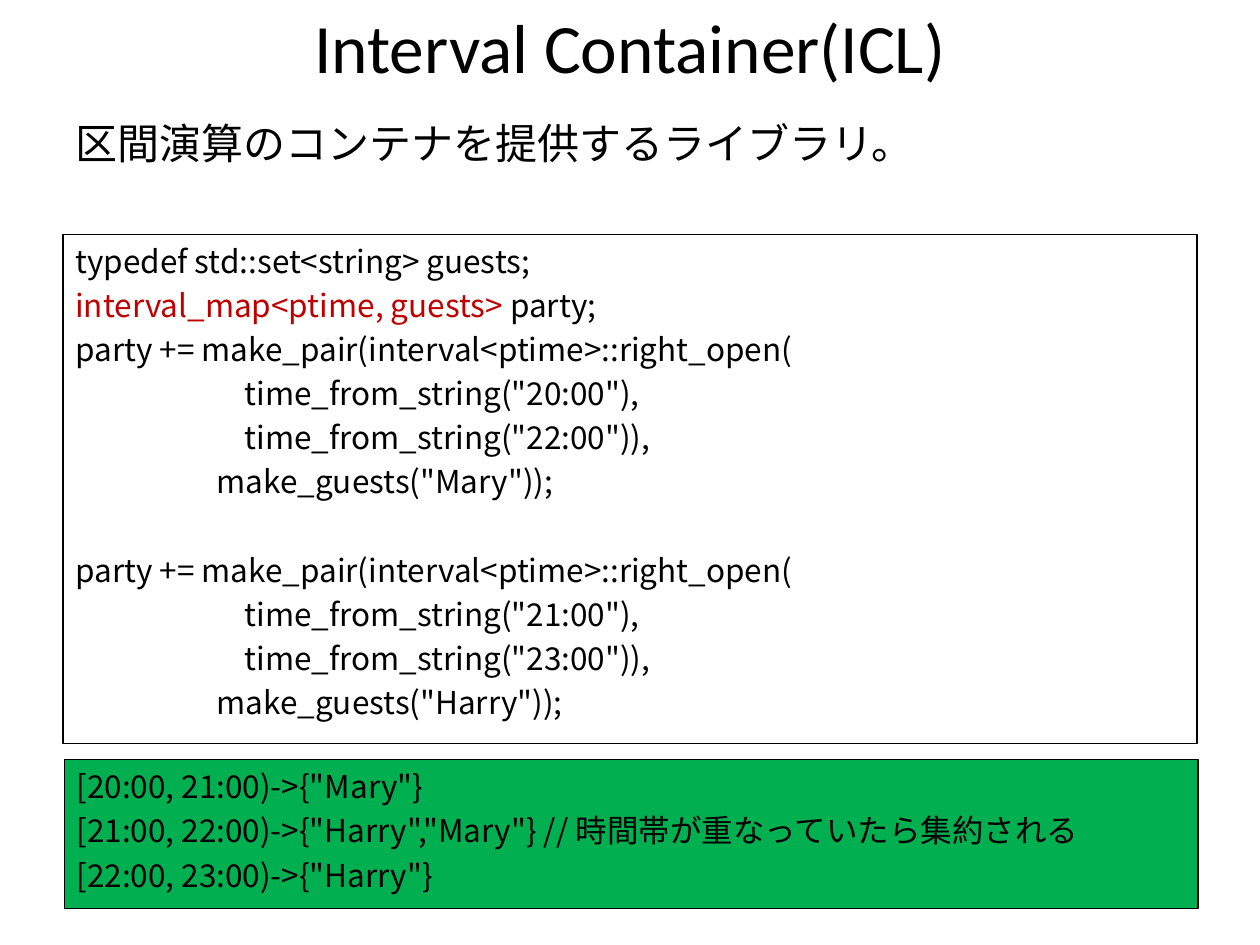
"""Build a slide that introduces the Interval Container library."""
from dataclasses import dataclass
from typing import Optional

from lxml import etree
from pptx import Presentation
from pptx.dml.color import RGBColor
from pptx.enum.shapes import MSO_SHAPE
from pptx.enum.text import MSO_ANCHOR, PP_ALIGN
from pptx.oxml.ns import qn
from pptx.util import Inches, Pt

BLACK = RGBColor(0x00, 0x00, 0x00)
RED = RGBColor(0xC0, 0x00, 0x00)
GREEN = RGBColor(0x00, 0xB0, 0x50)
RECTANGLE = MSO_SHAPE.RECTANGLE
LEFT, CENTER = PP_ALIGN.LEFT, PP_ALIGN.CENTER
TOP, MIDDLE = MSO_ANCHOR.TOP, MSO_ANCHOR.MIDDLE
TITLE_FONT, BODY_FONT = "Calibri", "Noto Sans CJK JP"
CODE_PITCH = 25.2


@dataclass(frozen=True)
class Line:
    text: str
    highlight: str = ""
    gap_before: float = 0


@dataclass(frozen=True)
class Panel:
    left: float
    top: float
    height: float
    lines: list[Line]
    fill: Optional[RGBColor] = None


def party_call(start: str, end: str, guest: str, gap_before: float = 0) -> list[Line]:
    time_indent, guest_indent = " " * 24, " " * 20
    return [
        Line("party += make_pair(interval<ptime>::right_open(", gap_before=gap_before),
        Line(f'{time_indent}time_from_string("{start}"),'),
        Line(f'{time_indent}time_from_string("{end}")),'),
        Line(f'{guest_indent}make_guests("{guest}"));'),
    ]


PANELS = [
    Panel(0.5, 1.86, 4.04, [
        Line("typedef std::set<string> guests;"),
        Line("party;", highlight="interval_map<ptime, guests> "),
        *party_call("20:00", "22:00", "Mary"),
        *party_call("21:00", "23:00", "Harry", gap_before=CODE_PITCH),
    ]),
    Panel(0.51, 6.03, 1.18, [
        Line('[20:00, 21:00)->{"Mary"}'),
        Line('[21:00, 22:00)->{"Harry","Mary"} // 時間帯が重なっていたら集約される'),
        Line('[22:00, 23:00)->{"Harry"}'),
    ], fill=GREEN),
]


def write_text(shape, lines: list[Line], *, size: float, font: str = BODY_FONT,
               align=LEFT, anchor=TOP, inset: float = 0.01,
               pitch: Optional[float] = None) -> None:
    frame = shape.text_frame
    frame.word_wrap = True
    frame.vertical_anchor = anchor
    frame.margin_top = Inches(inset)
    for index, line in enumerate(lines):
        paragraph = frame.add_paragraph() if index else frame.paragraphs[0]
        paragraph.alignment = align
        paragraph.space_before = Pt(line.gap_before)
        if pitch:
            paragraph.line_spacing = Pt(pitch)
        for text, color in ((line.highlight, RED), (line.text, BLACK)):
            if text:
                run = paragraph.add_run()
                run.text = text
                run.font.size = Pt(size)
                run.font.name = font
                run.font.color.rgb = color
                etree.SubElement(run.font._element, qn("a:ea"), typeface=font)


def draw_panel(slide, panel: Panel) -> None:
    box = slide.shapes.add_shape(RECTANGLE, Inches(panel.left), Inches(panel.top),
                                 Inches(9), Inches(panel.height))
    box.shadow.inherit = False
    if panel.fill is None:
        box.fill.background()
    else:
        box.fill.solid()
        box.fill.fore_color.rgb = panel.fill
    box.line.color.rgb = BLACK
    box.line.width = Pt(0.75)
    write_text(box, panel.lines, size=18, pitch=CODE_PITCH)


def main() -> None:
    deck = Presentation()
    deck.slide_width, deck.slide_height = Inches(10), Inches(7.5)
    slide = deck.slides.add_slide(deck.slide_layouts[6])
    title = slide.shapes.add_textbox(Inches(0.5), Inches(0), Inches(9), Inches(0.72))
    write_text(title, [Line("Interval Container(ICL)")], size=39.6, font=TITLE_FONT,
               align=CENTER, anchor=MIDDLE, inset=0.05)
    summary = slide.shapes.add_textbox(Inches(0.5), Inches(0.92), Inches(9), Inches(0.87))
    write_text(summary, [Line("区間演算のコンテナを提供するライブラリ。")], size=24)
    for panel in PANELS:
        draw_panel(slide, panel)
    deck.save("out.pptx")


if __name__ == "__main__":
    main()
